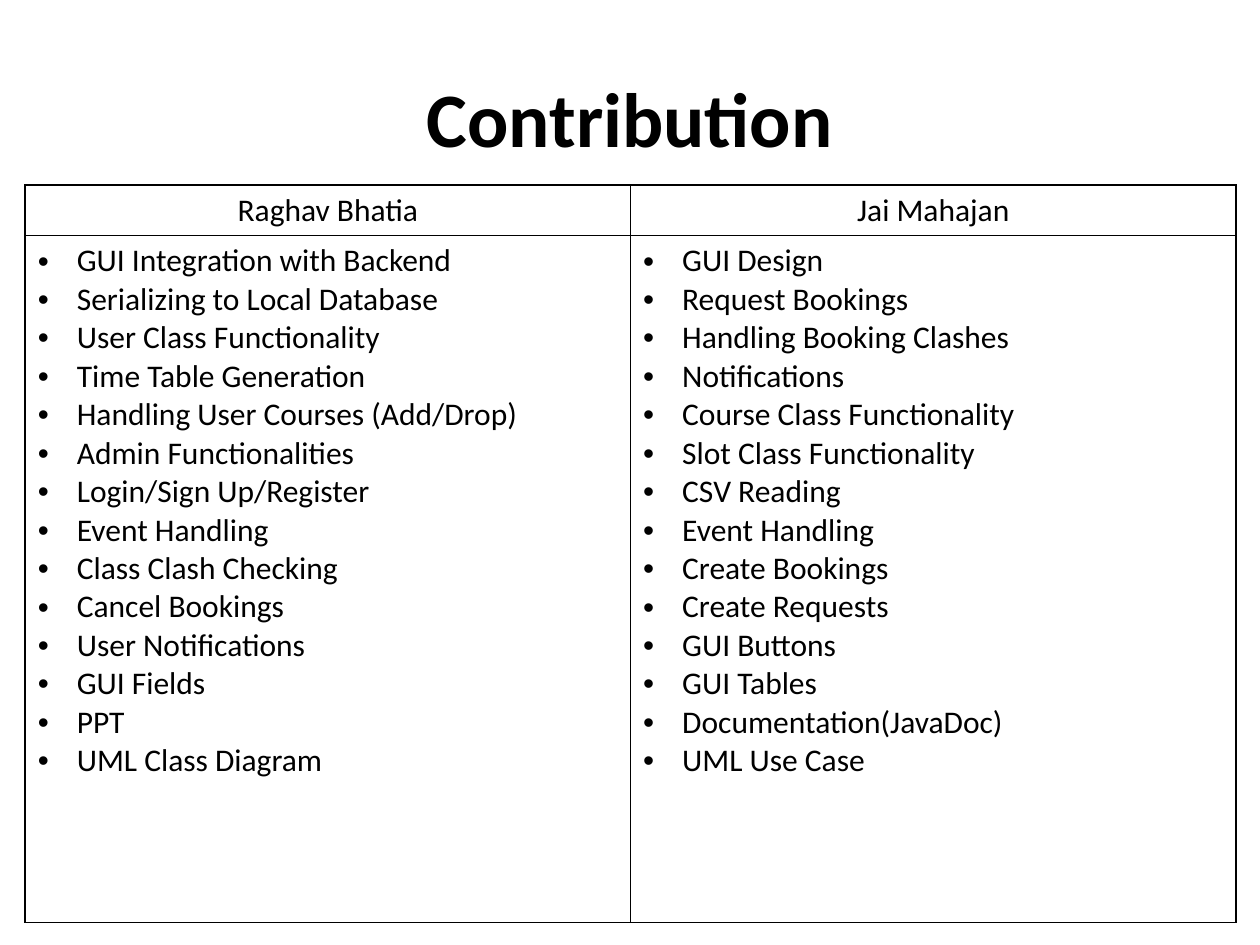
from lxml import etree
from pptx import Presentation
from pptx.dml.color import RGBColor
from pptx.enum.text import MSO_ANCHOR, PP_ALIGN
from pptx.oxml.ns import qn
from pptx.util import Inches, Pt

MID, TOP = MSO_ANCHOR.MIDDLE, MSO_ANCHOR.TOP
LEFT, MIDST = PP_ALIGN.LEFT, PP_ALIGN.CENTER
BLACK = "000000"

TITLE = "Contribution"
TASKS = {
    "Raghav Bhatia": [
        "GUI Integration with Backend",
        "Serializing to Local Database",
        "User Class Functionality",
        "Time Table Generation",
        "Handling User Courses (Add/Drop)",
        "Admin Functionalities",
        "Login/Sign Up/Register",
        "Event Handling",
        "Class Clash Checking",
        "Cancel Bookings",
        "User Notifications",
        "GUI Fields",
        "PPT",
        "UML Class Diagram",
    ],
    "Jai Mahajan": [
        "GUI Design",
        "Request Bookings",
        "Handling Booking Clashes",
        "Notifications",
        "Course Class Functionality",
        "Slot Class Functionality",
        "CSV Reading",
        "Event Handling",
        "Create Bookings",
        "Create Requests",
        "GUI Buttons",
        "GUI Tables",
        "Documentation(JavaDoc)",
        "UML Use Case",
    ],
}
WIDTH = 9.61
ROWS = [0.4, 5.45]
HEAD = {"name": "Calibri", "size": Pt(44), "bold": True}
BODY = {"name": "Calibri", "size": Pt(18), "bold": False}


def color(code):
    return RGBColor.from_string(code)


def write(frame, lines, form, align):
    for i, line in enumerate(lines):
        para = frame.paragraphs[0] if i == 0 else frame.add_paragraph()
        para.alignment = align
        run = para.add_run()
        run.text = line
        for key, value in form.items():
            setattr(run.font, key, value)
        run.font.color.rgb = color(BLACK)


def bullet(para):
    props = para._p.get_or_add_pPr()
    indent = Inches(0.31)
    props.set("marL", str(indent))
    props.set("indent", str(-indent))
    etree.SubElement(props, qn("a:buFont"), typeface="Arial")
    etree.SubElement(props, qn("a:buChar"), char="•")


def border(cell):
    props = cell._tc.get_or_add_tcPr()
    for i, side in enumerate(("lnL", "lnR", "lnT", "lnB")):
        line = etree.Element(qn("a:" + side), w=str(Pt(1)))
        fill = etree.SubElement(line, qn("a:solidFill"))
        etree.SubElement(fill, qn("a:srgbClr"), val=BLACK)
        props.insert(i, line)


def main():
    deck = Presentation()
    deck.slide_width, deck.slide_height = Inches(10), Inches(7.5)
    slide = deck.slides.add_slide(deck.slide_layouts[6])

    box = slide.shapes.add_textbox(Inches(0.5), Inches(0.3), Inches(9), Inches(1.25))
    frame = box.text_frame
    frame.word_wrap = True
    frame.vertical_anchor = MID
    write(frame, [TITLE], HEAD, MIDST)

    table = slide.shapes.add_table(
        len(ROWS), len(TASKS), Inches(0.2), Inches(1.47),
        Inches(WIDTH), Inches(sum(ROWS)),
    ).table
    table.first_row = table.horz_banding = False
    for row, tall in zip(table.rows, ROWS):
        row.height = Inches(tall)
    for col, (name, tasks) in enumerate(TASKS.items()):
        table.columns[col].width = Inches(WIDTH / len(TASKS))
        head, body = table.cell(0, col), table.cell(1, col)
        write(head.text_frame, [name], BODY, MIDST)
        write(body.text_frame, tasks, BODY, LEFT)
        for para in body.text_frame.paragraphs:
            bullet(para)
        for cell in (head, body):
            cell.vertical_anchor = TOP
            cell.fill.background()
            border(cell)

    deck.save("out.pptx")


if __name__ == "__main__":
    main()
